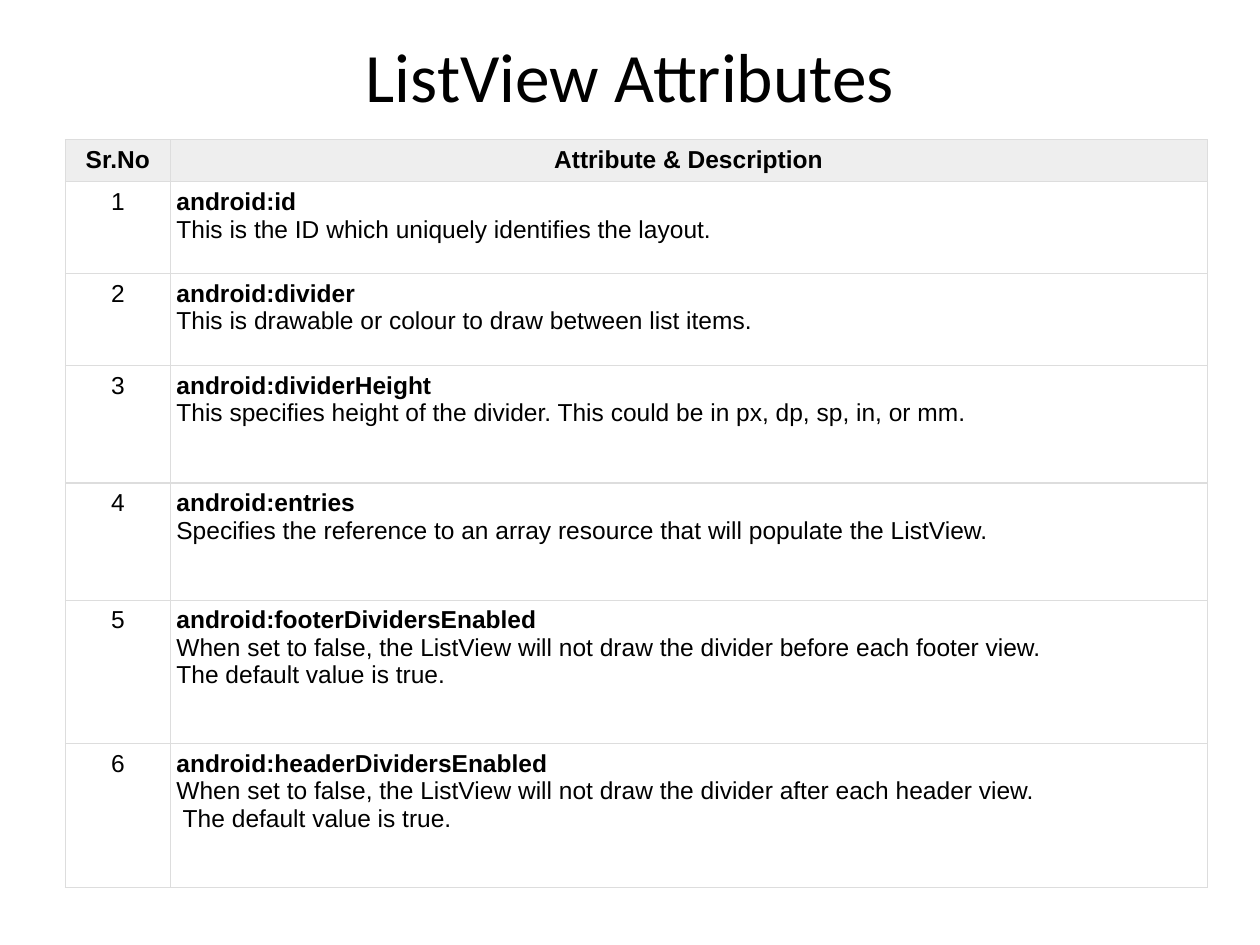
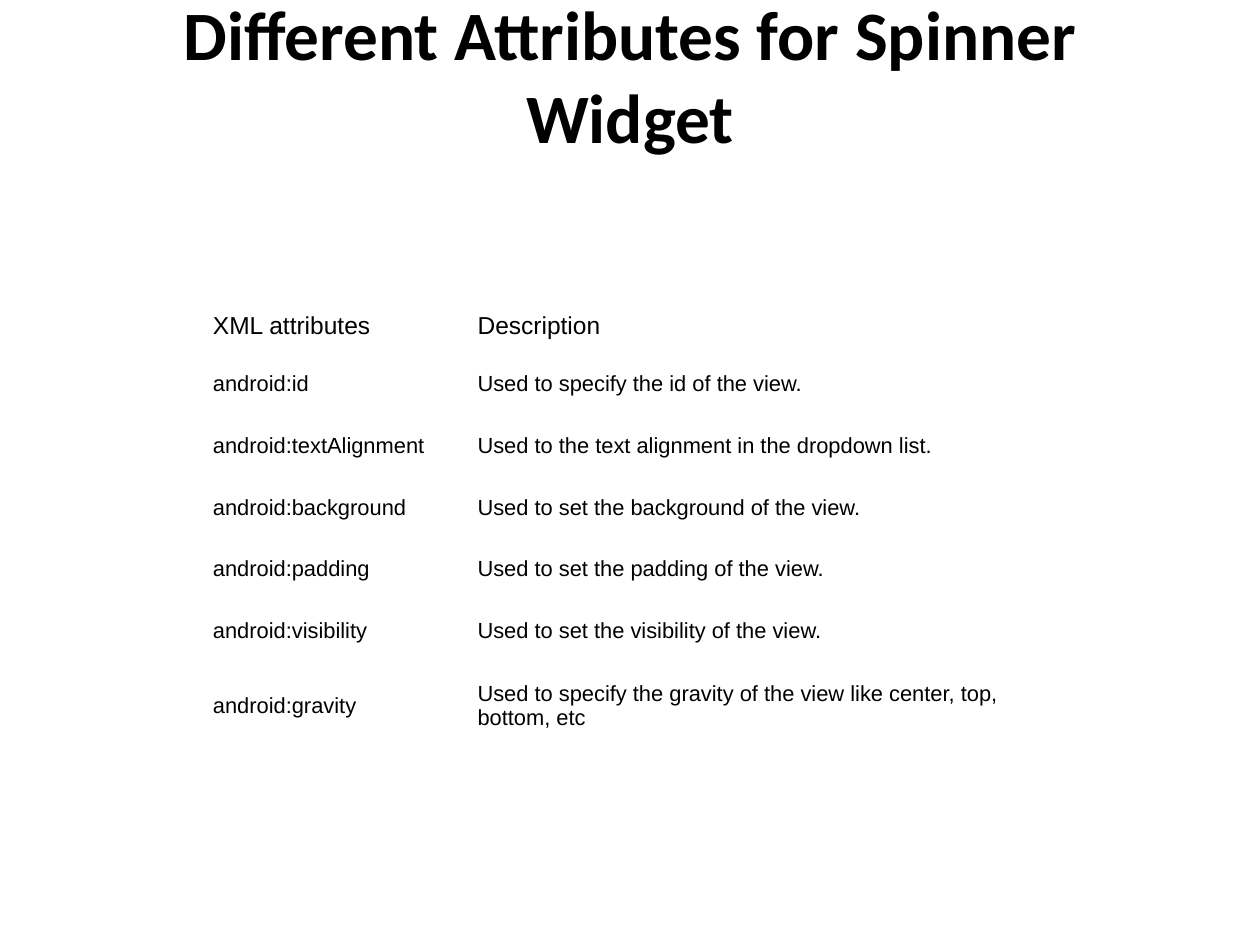
from dataclasses import dataclass

from lxml import etree
from pptx import Presentation
from pptx.dml.color import RGBColor
from pptx.enum.text import MSO_ANCHOR, PP_ALIGN
from pptx.oxml.ns import qn
from pptx.util import Inches, Pt

CENTER, LEFT, JUSTIFY = PP_ALIGN.CENTER, PP_ALIGN.LEFT, PP_ALIGN.JUSTIFY
TOP, MIDDLE = MSO_ANCHOR.TOP, MSO_ANCHOR.MIDDLE
PLAIN_TABLE_STYLE = "{2D5ABB26-0587-4C30-8999-92F81FD0307C}"


@dataclass(frozen=True)
class Theme:
    text: RGBColor = RGBColor(0, 0, 0)
    paper: RGBColor = RGBColor(0xFF, 0xFF, 0xFF)
    header: RGBColor = RGBColor(0xEE, 0xEE, 0xEE)
    border: str = "DDDDDD"
    title_font: str = "Calibri"
    body_font: str = "Arial"
    title_size: float = 39.6
    table_size: float = 14
    small_size: float = 12.5
    border_width: float = 0.75


THEME = Theme()

LISTVIEW_ATTRIBUTES = [
    ("android:id", "This is the ID which uniquely identifies the layout."),
    ("android:divider", "This is drawable or colour to draw between list items."),
    ("android:dividerHeight",
     "This specifies height of the divider. This could be in px, dp, sp, in, or mm."),
    ("android:entries",
     "Specifies the reference to an array resource that will populate the ListView."),
    ("android:footerDividersEnabled",
     "When set to false, the ListView will not draw the divider before each footer view.",
     "The default value is true."),
    ("android:headerDividersEnabled",
     "When set to false, the ListView will not draw the divider after each header view.",
     " The default value is true."),
]
LISTVIEW_ROW_HEIGHTS = [0.33, 0.73, 0.73, 0.93, 0.93, 1.14, 1.14]

SPINNER_ROWS = [
    ("XML attributes", "Description"),
    ("android:id", "Used to specify the id of the view."),
    ("android:textAlignment", "Used to the text alignment in the dropdown list."),
    ("android:background", "Used to set the background of the view."),
    ("android:padding", "Used to set the padding of the view."),
    ("android:visibility", "Used to set the visibility of the view."),
    ("android:gravity",
     "Used to specify the gravity of the view like center, top, bottom, etc"),
]
SPINNER_ROW_HEIGHTS = [0.42] + [0.49] * 5 + [0.68]


def add_titled_table(presentation, title, bold_title, left, top, widths, heights):
    """Add a slide with a centred title and an unstyled table, and return the table."""
    slide = presentation.slides.add_slide(presentation.slide_layouts[6])
    title_box = slide.shapes.add_textbox(Inches(0.5), Inches(0.3), Inches(9), Inches(1.25))
    frame = title_box.text_frame
    frame.word_wrap = True
    frame.vertical_anchor = MIDDLE
    frame.margin_bottom = Inches(0.72)  # lifts the title clear of the table
    paragraph = frame.paragraphs[0]
    paragraph.text = title
    paragraph.alignment = CENTER
    paragraph.font.name = THEME.title_font
    paragraph.font.size = Pt(THEME.title_size)
    paragraph.font.bold = bold_title
    paragraph.font.color.rgb = THEME.text

    table = slide.shapes.add_table(
        len(heights), len(widths), Inches(left), Inches(top),
        Inches(sum(widths)), Inches(sum(heights))).table
    table.first_row = table.horz_banding = False
    table._tbl.tblPr.find(qn("a:tableStyleId")).text = PLAIN_TABLE_STYLE
    for column, width in zip(table.columns, widths):
        column.width = Inches(width)
    for row, height in zip(table.rows, heights):
        row.height = Inches(height)
    return table


def fill_cell(cell, lines, size, alignment, anchor, margins, fill=None,
              bold_first=False, border=False):
    """Write one paragraph per line; margins are (horizontal, vertical) in inches."""
    cell.margin_left = cell.margin_right = Inches(margins[0])
    cell.margin_top = cell.margin_bottom = Inches(margins[1])
    cell.vertical_anchor = anchor
    cell.text = "\n".join(lines)
    for index, paragraph in enumerate(cell.text_frame.paragraphs):
        paragraph.alignment = alignment
        paragraph.font.name = THEME.body_font
        paragraph.font.size = Pt(size)
        paragraph.font.bold = bold_first and index == 0
        paragraph.font.color.rgb = THEME.text
    properties = cell._tc.get_or_add_tcPr()
    if border:
        for side in ("a:lnL", "a:lnR", "a:lnT", "a:lnB"):
            line = etree.SubElement(properties, qn(side), w=str(Pt(THEME.border_width)))
            solid = etree.SubElement(line, qn("a:solidFill"))
            etree.SubElement(solid, qn("a:srgbClr"), val=THEME.border)
    if fill is None:
        cell.fill.background()
    else:
        cell.fill.solid()
        cell.fill.fore_color.rgb = fill


presentation = Presentation()
presentation.slide_width = Inches(10)
presentation.slide_height = Inches(7.5)

# ListView attributes
table = add_titled_table(presentation, "ListView Attributes", False,
                         0.52, 1.11, [0.83, 8.23], LISTVIEW_ROW_HEIGHTS)
grid_style = dict(size=THEME.table_size, anchor=TOP, margins=(0.05, 0.05), border=True)
for column, heading in enumerate(["Sr.No", "Attribute & Description"]):
    fill_cell(table.cell(0, column), [heading], alignment=CENTER,
              fill=THEME.header, bold_first=True, **grid_style)
for number, lines in enumerate(LISTVIEW_ATTRIBUTES, start=1):
    fill_cell(table.cell(number, 0), [str(number)], alignment=CENTER, **grid_style)
    fill_cell(table.cell(number, 1), lines, alignment=JUSTIFY, bold_first=True, **grid_style)

# Spinner attributes
table = add_titled_table(presentation, "Different Attributes for Spinner Widget", True,
                         1.59, 2.37, [2.1, 4.88], SPINNER_ROW_HEIGHTS)
for row, texts in enumerate(SPINNER_ROWS):
    size = THEME.small_size if row else THEME.table_size
    margins = (0.1, 0.14 if row else 0.1)
    for column, text in enumerate(texts):
        fill_cell(table.cell(row, column), [text], size, LEFT, MIDDLE, margins,
                  fill=THEME.paper)

presentation.save("out.pptx")
